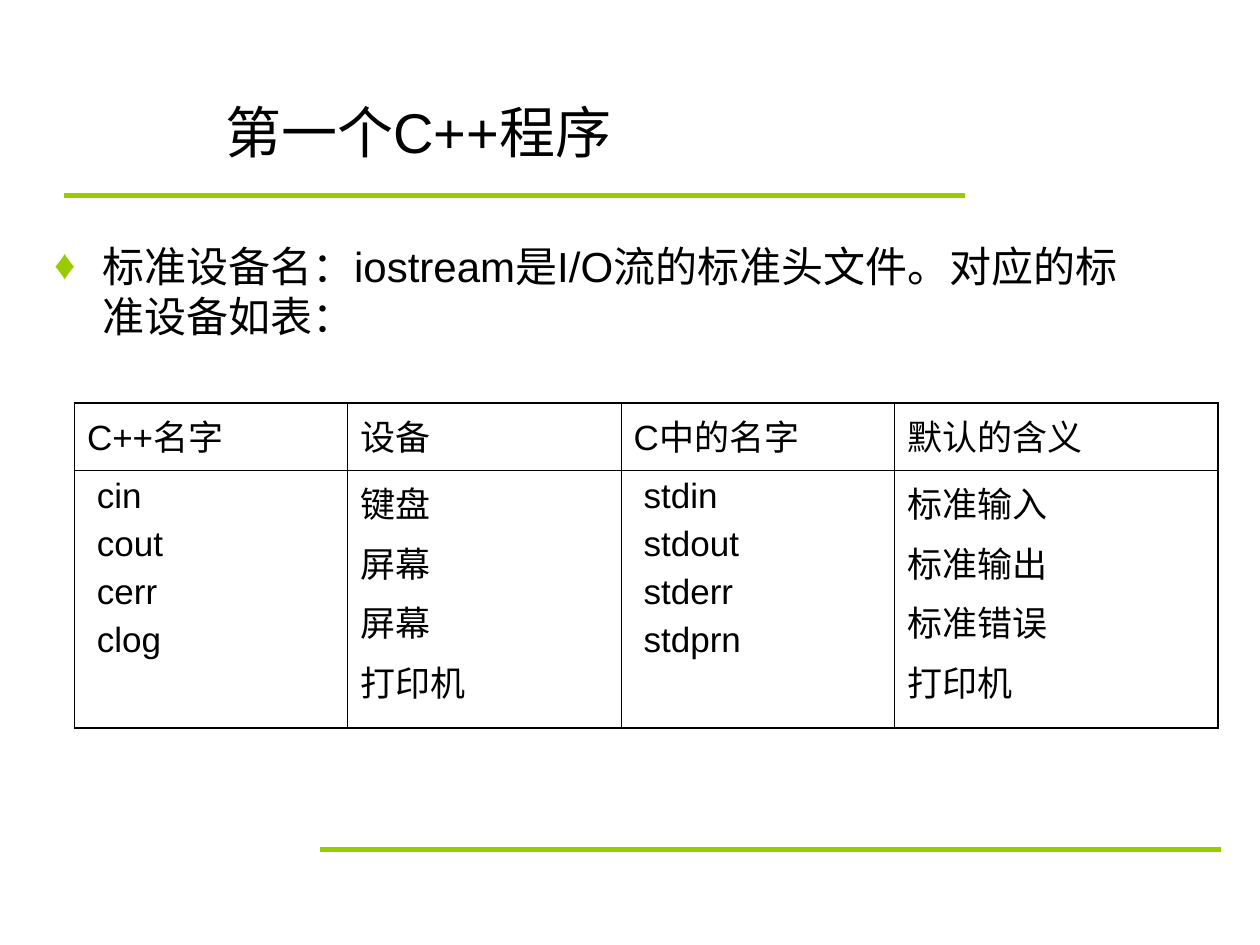
from dataclasses import dataclass

from lxml.etree import SubElement
from pptx import Presentation
from pptx.dml.color import RGBColor
from pptx.enum.shapes import MSO_CONNECTOR as Connector
from pptx.enum.text import MSO_ANCHOR as Anchor
from pptx.oxml import parse_xml
from pptx.oxml.ns import nsdecls, qn
from pptx.util import Cm, Pt


@dataclass(frozen=True)
class Theme:
    font: str = "Arial"
    text: str = "000000"
    accent: str = "99CC00"
    title_size: int = 32
    body_size: int = 24
    table_size: int = 20
    rule_width: float = 3
    inner_border: float = 0.45
    outer_border: float = 1.08


THEME = Theme()
HEADERS = ["C++名字", "设备", "C中的名字", "默认的含义"]
DEVICES = [
    ["cin", "cout", "cerr", "clog"],
    ["键盘", "屏幕", "屏幕", "打印机"],
    ["stdin", "stdout", "stderr", "stdprn"],
    ["标准输入", "标准输出", "标准错误", "打印机"],
]


def style(paragraph, size):
    for run in paragraph.runs:
        run.font.name = THEME.font
        run.font.size = Pt(size)
        run.font.color.rgb = RGBColor.from_string(THEME.text)


def add_rule(slide, left, top, length):
    rule = slide.shapes.add_connector(
        Connector.STRAIGHT, Cm(left), Cm(top), Cm(left + length), Cm(top))
    rule.line.color.rgb = RGBColor.from_string(THEME.accent)
    rule.line.width = Pt(THEME.rule_width)
    SubElement(rule._element.spPr, qn("a:effectLst"))


def add_text(slide, box, text, size, anchor):
    shape = slide.shapes.add_textbox(*map(Cm, box))
    frame = shape.text_frame
    frame.word_wrap = True
    frame.vertical_anchor = anchor
    frame.text = text
    paragraph = frame.paragraphs[0]
    style(paragraph, size)
    return paragraph


def add_title(slide, box):
    add_text(slide, box, "第一个C++程序", THEME.title_size, Anchor.MIDDLE)


def add_bullet_text(slide, box):
    paragraph = add_text(
        slide, box, "标准设备名：iostream是I/O流的标准头文件。对应的标准设备如表：",
        THEME.body_size, Anchor.TOP)
    properties = paragraph._p.get_or_add_pPr()
    properties.set("marL", str(Cm(0.97)))
    properties.set("indent", str(Cm(-0.97)))
    color = SubElement(properties, qn("a:buClr"))
    SubElement(color, qn("a:srgbClr"), val=THEME.accent)
    SubElement(properties, qn("a:buFont"), typeface=THEME.font)
    SubElement(properties, qn("a:buChar"), char="♦")


def set_borders(cell, outer_sides):
    properties = cell._tc.get_or_add_tcPr()
    for index, side in enumerate("LRTB"):
        width = THEME.outer_border if side in outer_sides else THEME.inner_border
        properties.insert(index, parse_xml(
            f'<a:ln{side} {nsdecls("a")} w="{Pt(width)}"><a:solidFill>'
            f'<a:srgbClr val="{THEME.text}"/></a:solidFill></a:ln{side}>'))


def fill_cell(cell, lines, indent):
    cell.text = "\n".join(lines)
    cell.fill.background()
    for index, paragraph in enumerate(cell.text_frame.paragraphs):
        if index:
            paragraph.space_before = Pt(5)
        if indent:
            paragraph._p.get_or_add_pPr().set("marL", str(Cm(indent)))
        style(paragraph, THEME.table_size)


def add_device_table(slide, left, top):
    widths = [5.51, 5.51, 5.51, 6.53]
    heights = [1.36, 5.19]
    table = slide.shapes.add_table(
        len(heights), len(widths), Cm(left), Cm(top),
        Cm(sum(widths)), Cm(sum(heights))).table
    table.first_row = table.horz_banding = False
    for row, height in zip(table.rows, heights):
        row.height = Cm(height)
    for column, width in enumerate(widths):
        table.columns[column].width = Cm(width)
        # The names of the streams stand slightly inward
        name_indent = 0.2 if column % 2 == 0 else 0
        fill_cell(table.cell(0, column), [HEADERS[column]], 0)
        fill_cell(table.cell(1, column), DEVICES[column], name_indent)
        edge = {0: "L", len(widths) - 1: "R"}.get(column, "")
        set_borders(table.cell(0, column), edge + "T")
        set_borders(table.cell(1, column), edge + "B")


def add_device_slide(presentation):
    slide = presentation.slides.add_slide(presentation.slide_layouts[6])
    # Green rules above and below the content
    add_rule(slide, 1.3, 3.94, 18.16)
    add_rule(slide, 6.45, 17.12, 18.16)
    # Heading, statement and table
    add_title(slide, (4.29, 1.52, 20.5, 2.24))
    add_bullet_text(slide, (0.84, 4.72, 22.45, 3))
    add_device_table(slide, 1.5, 8.13)


def main():
    presentation = Presentation()
    presentation.slide_width = Cm(25.4)
    presentation.slide_height = Cm(19.05)
    add_device_slide(presentation)
    presentation.save("out.pptx")


if __name__ == "__main__":
    main()
